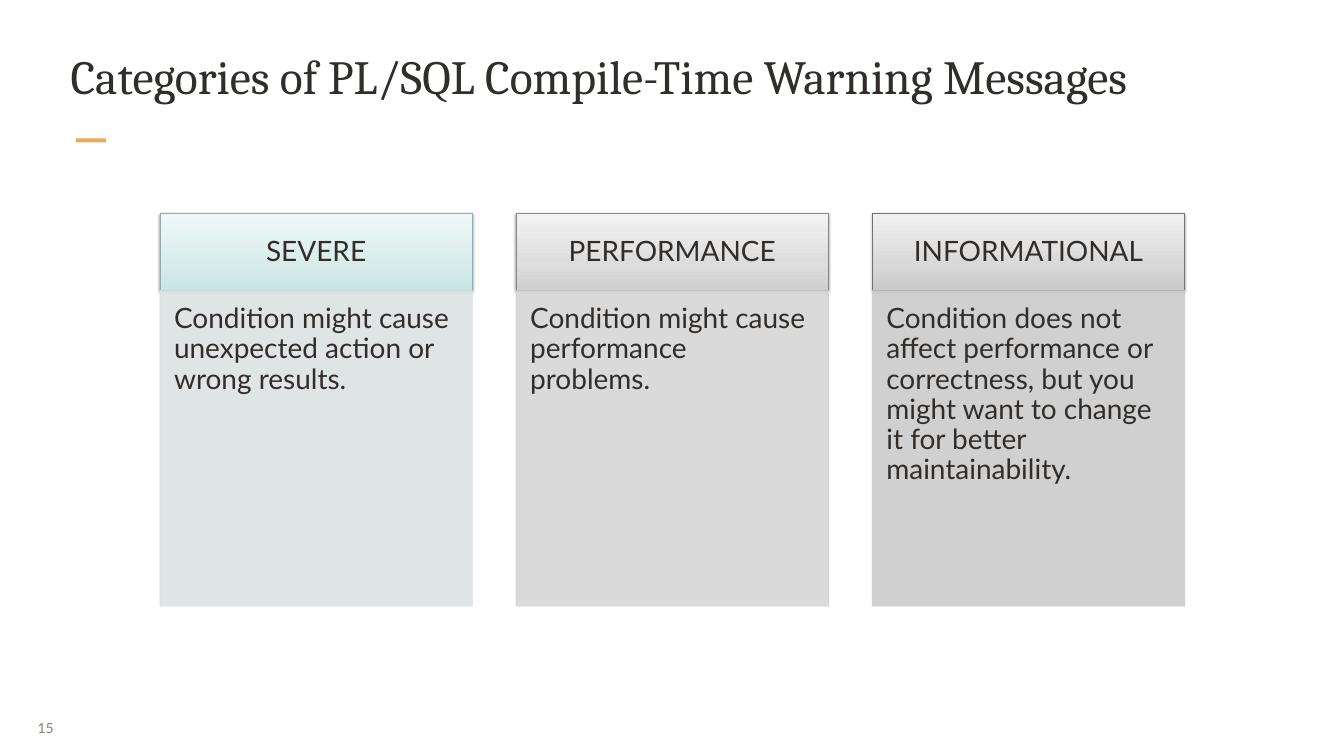
from lxml import etree
from pptx import Presentation, util as u
from pptx.dml.color import RGBColor
from pptx.enum import shapes, text
from pptx.oxml.ns import qn

INK = "312D2A"
TITLE = "Categories of PL/SQL Compile-Time Warning Messages"
PAGE = "15"
CARDS = [
    {"head": "SEVERE",
     "body": "Condition might cause unexpected action or wrong results.",
     "grad": ("C9E5E5", "D9ECEC", "F0F8F8"), "edge": "90ACAC",
     "fill": "DCE3E3", "rim": "D7DEDE"},
    {"head": "PERFORMANCE",
     "body": "Condition might cause performance problems.",
     "grad": ("D0D0D0", "DDDDDD", "F2F2F2"), "edge": "888888",
     "fill": "D6D6D6", "rim": "D1D1D1"},
    {"head": "INFORMATIONAL",
     "body": "Condition does not affect performance or correctness, but you "
             "might want to change it for better maintainability.",
     "grad": ("C9C9C9", "D9D9D9", "F1F1F1"), "edge": "717171",
     "fill": "CBCBCB", "rim": "C7C7C7"},
]
STOPS = (0, 35, 100)
LEFT, WIDE, GAP = 2.38, 4.65, 0.65
TOP, HEAD, BODY = 3.18, 1.14, 4.7
ALIGN, ANCHOR = text.PP_ALIGN, text.MSO_ANCHOR


def tint(color, code):
    color.rgb = RGBColor.from_string(code)


def add(up, tag, **vals):
    return etree.SubElement(up, qn(tag), {k: str(v) for k, v in vals.items()})


def fade(fmt):
    for node in fmt.iter(qn("a:srgbClr")):
        add(node, "a:alpha", val=90000)


def write(shape, words, size, pads, face="Lato", code=INK, align=ALIGN.LEFT,
          anchor=ANCHOR.TOP, wrap=True, space=1.0):
    frame = shape.text_frame
    sides = ("margin_left", "margin_top", "margin_right", "margin_bottom")
    form = dict(zip(sides, map(u.Inches, pads)))
    form.update(word_wrap=wrap, vertical_anchor=anchor)
    para = frame.paragraphs[0]
    run = para.add_run()
    run.text = words
    for item, vals in (
        (frame, form),
        (para, {"alignment": align, "line_spacing": space}),
        (run.font, {"name": face, "size": u.Pt(size)}),
    ):
        for key, val in vals.items():
            setattr(item, key, val)
    tint(run.font.color, code)


def label(slide, box, *args, **opts):
    write(slide.shapes.add_textbox(*map(u.Inches, box)), *args, **opts)


def block(slide, box, fill=None, line=None):
    shape = slide.shapes.add_shape(
        shapes.MSO_SHAPE.RECTANGLE, *map(u.Inches, box))
    shape.shadow.inherit = False
    if fill:
        shape.fill.solid()
        tint(shape.fill.fore_color, fill)
    if line:
        tint(shape.line.color, line)
        shape.line.width = u.Pt(0.75)
    else:
        shape.line.fill.background()
    return shape


def blend(shape, codes):
    shape.fill.gradient()
    shape.fill.gradient_angle = 90
    props = shape._element.spPr
    grad = props.find(qn("a:gradFill"))
    stops = grad.find(qn("a:gsLst"))
    for old in list(stops):
        stops.remove(old)
    for pos, code in zip(STOPS, codes):
        add(add(stops, "a:gs", pos=pos * 1000), "a:srgbClr", val=code)
    grad.find(qn("a:lin")).set("ang", str(270 * 60000))
    glow = add(props.find(qn("a:effectLst")), "a:outerShdw",
               blurRad=u.Pt(3.1), dist=u.Pt(1.6), dir=90 * 60000,
               rotWithShape=0)
    add(add(glow, "a:srgbClr", val="000000"), "a:alpha", val=38000)


def card(slide, left, data):
    head = block(slide, (left, TOP, WIDE, HEAD), line=data["edge"])
    blend(head, data["grad"])
    write(head, data["head"], 30, (0.28, 0.16, 0.28, 0.16),
          align=ALIGN.CENTER, anchor=ANCHOR.MIDDLE, space=0.9)
    body = block(slide, (left, TOP + HEAD, WIDE, BODY),
                 data["fill"], data["rim"])
    fade(body._element.spPr)
    write(body, data["body"], 30, (0.21, 0.21, 0.28, 0.32), space=0.9)


def main():
    deck = Presentation()
    deck.slide_width, deck.slide_height = u.Inches(20), u.Inches(11.25)
    slide = deck.slides.add_slide(deck.slide_layouts[6])
    block(slide, (1.13, 2.06, 0.45, 0.06), "E6AC58")
    label(slide, (0.43, 10.54, 0.65, 0.58), PAGE, 15,
          (0.13, 0.07, 0.13, 0.07), code="8B8078", align=ALIGN.JUSTIFY,
          anchor=ANCHOR.MIDDLE, wrap=False)
    label(slide, (1.02, 0.67, 17.96, 1.28), TITLE, 51, (0.03,) * 4,
          face="Cambria")
    for i, data in enumerate(CARDS):
        card(slide, LEFT + i * (WIDE + GAP), data)
    deck.save("out.pptx")


if __name__ == "__main__":
    main()
